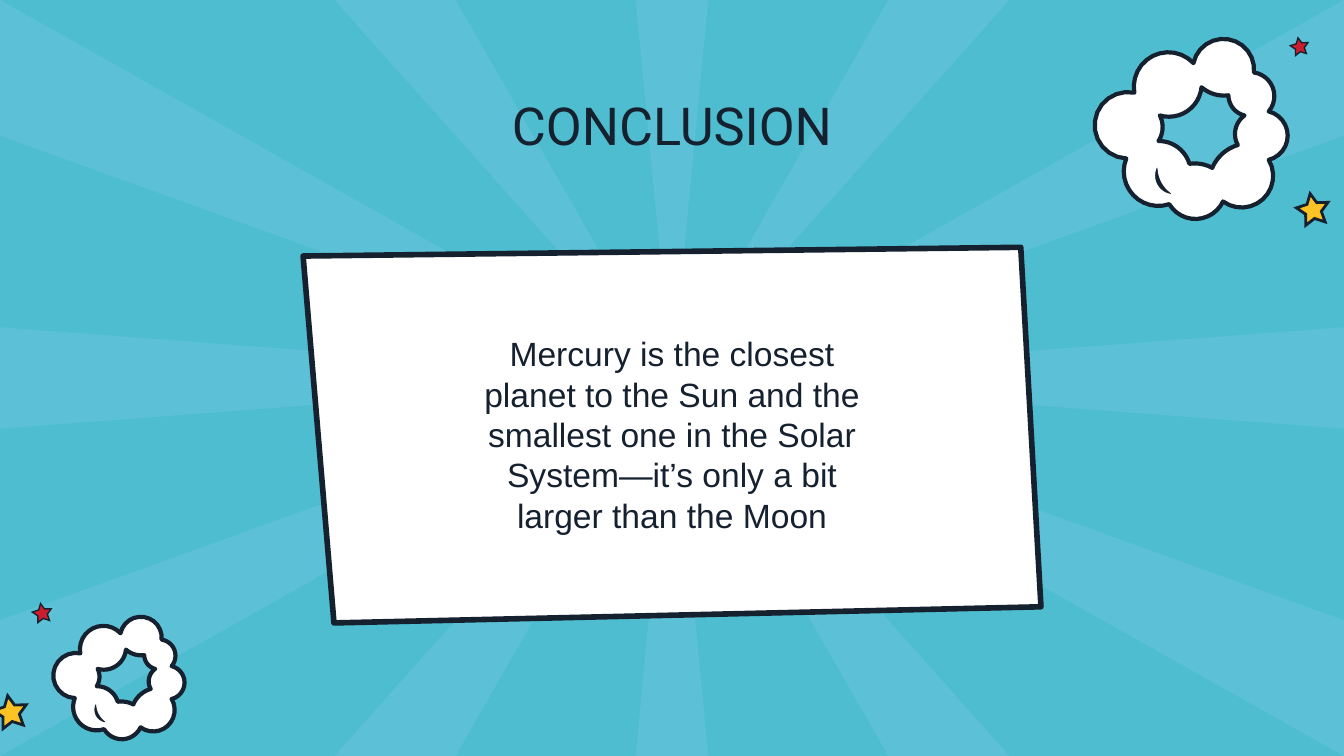
"""Build the comic-style conclusion slide about Mercury."""
from dataclasses import dataclass
from math import atan2, cos, hypot, pi, radians, sin, tau
from typing import Optional

from lxml import etree
from pptx import Presentation
from pptx import util as u
from pptx.dml import color
from pptx.enum import text
from pptx.oxml import ns

PX = 4572
WIDTH, HEIGHT = 2000, 1125
CENTRE = (WIDTH / 2, HEIGHT / 2)

Point = tuple[float, float]


@dataclass(frozen=True)
class Theme:
    sky: str = "4EBDCF"
    ray: str = "5CC1D6"
    ink: str = "162130"
    paper: str = "FFFFFF"
    gold: str = "FDC324"
    red: str = "CC1D2D"
    title_font: str = "Roboto"
    body_font: str = "Arial"
    title_size: int = 28
    body_size: int = 18


@dataclass(frozen=True)
class Ray:
    edge: tuple[Point, Point]
    flips: tuple[tuple[bool, bool], ...]


@dataclass(frozen=True)
class Star:
    x: int
    y: int
    radius: int
    fill: str
    outline: float


@dataclass(frozen=True)
class Cloud:
    left: int
    top: int
    percent: int


@dataclass(frozen=True)
class Caption:
    left: int
    top: int
    width: int
    height: int
    words: str
    font: str
    size: int


THEME = Theme()

OPPOSITE_X = ((False, False), (True, False))
OPPOSITE_Y = ((False, False), (False, True))
ALL_QUARTERS = OPPOSITE_X + ((False, True), (True, True))
RAYS = (
    Ray(((946, 0), (1054, 0)), OPPOSITE_Y),
    Ray(((498, 0), (678, 0)), ALL_QUARTERS),
    Ray(((0, 0), (0, 202)), ALL_QUARTERS),
    Ray(((0, 487), (0, 638)), OPPOSITE_X),
)

PANEL = [(451, 381), (497, 927), (1549, 903), (1519, 368)]

CLOUD_RIM = [
    (152, 36), (196, 0), (242, 50), (272, 80), (264, 108), (292, 140), (264, 180), (256, 238),
    (196, 242), (154, 268), (116, 246), (66, 236), (52, 178), (5, 130), (64, 80), (100, 22),
]
CLOUD_HOLE = [
    (164, 72), (142, 108), (102, 114), (106, 134), (100, 152), (132, 164), (146, 186), (162, 186),
    (180, 192), (190, 176), (218, 158), (214, 138), (228, 114), (210, 102), (204, 84), (182, 82),
]
CLOUD_CREASE = [(118, 230), (104, 214), (98, 192), (100, 218)]

CLOUDS = (Cloud(1624, 58, 100), Cloud(76, 918, 68))
STARS = (
    Star(1954, 313, 25, THEME.gold, 1.5),
    Star(1934, 70, 14, THEME.red, 0.75),
    Star(16, 1061, 26, THEME.gold, 1.5),
    Star(63, 913, 15, THEME.red, 0.75),
)

CAPTIONS = (
    Caption(526, 119, 948, 162, "CONCLUSION", THEME.title_font, THEME.title_size),
    Caption(
        665, 476, 670, 306,
        "Mercury is the closest planet to the Sun and the smallest one "
        "in the Solar System—it’s only a bit larger than the Moon",
        THEME.body_font, THEME.body_size,
    ),
)


def rgb(code: str) -> color.RGBColor:
    return color.RGBColor.from_string(code)


def draw_outline(slide, contours: list[list[Point]], fill: str,
                 outline: Optional[float] = None, join: str = "a:round") -> None:
    scaled = [[(round(x * PX), round(y * PX)) for x, y in contour] for contour in contours]
    builder = slide.shapes.build_freeform(*scaled[0][0])
    builder.add_line_segments(scaled[0][1:], close=True)
    for contour in scaled[1:]:
        builder.move_to(*contour[0])
        builder.add_line_segments(contour[1:], close=True)
    shape = builder.convert_to_shape()
    shape.shadow.inherit = False
    shape.fill.solid()
    shape.fill.fore_color.rgb = rgb(fill)
    if outline is None:
        shape.line.fill.background()
        return
    shape.line.color.rgb = rgb(THEME.ink)
    shape.line.width = u.Pt(outline)
    etree.SubElement(shape.line._get_or_add_ln(), ns.qn(join))


def arc_through(start: Point, crest: Point, end: Point, steps: int = 12) -> list[Point]:
    (ax, ay), (bx, by), (cx, cy) = start, crest, end
    a2, b2, c2 = ax * ax + ay * ay, bx * bx + by * by, cx * cx + cy * cy
    d = 2 * (ax * (by - cy) + bx * (cy - ay) + cx * (ay - by))
    x = (a2 * (by - cy) + b2 * (cy - ay) + c2 * (ay - by)) / d
    y = (a2 * (cx - bx) + b2 * (ax - cx) + c2 * (bx - ax)) / d
    radius = hypot(ax - x, ay - y)
    first, middle, last = (atan2(py - y, px - x) for px, py in (start, crest, end))
    sweep = (last - first) % tau
    if (middle - first) % tau > sweep:
        sweep -= tau
    angles = [first + sweep * i / steps for i in range(steps)]
    return [(x + radius * cos(a), y + radius * sin(a)) for a in angles]


def scallop(knots: list[Point], cloud: Cloud) -> list[Point]:
    factor = cloud.percent / 100
    curve = [
        point
        for i in range(0, len(knots), 2)
        for point in arc_through(knots[i], knots[i + 1], knots[(i + 2) % len(knots)])
    ]
    return [(cloud.left + x * factor, cloud.top + y * factor) for x, y in curve]


def draw_ray(slide, ray: Ray) -> None:
    for flip_x, flip_y in ray.flips:
        edge = [(WIDTH - x if flip_x else x, HEIGHT - y if flip_y else y) for x, y in ray.edge]
        draw_outline(slide, [[CENTRE, *edge]], THEME.ray)


def draw_cloud(slide, cloud: Cloud) -> None:
    draw_outline(slide, [scallop(CLOUD_RIM, cloud), scallop(CLOUD_HOLE, cloud)],
                 THEME.paper, 2.25)
    draw_outline(slide, [scallop(CLOUD_CREASE, cloud)], THEME.ink, 0.31)


def draw_star(slide, star: Star) -> None:
    tips = []
    for i in range(10):
        reach = star.radius / (1 + i % 2)
        angle = radians(260) + i * pi / 5
        tips.append((star.x + reach * cos(angle), star.y + reach * sin(angle)))
    draw_outline(slide, [tips], star.fill, star.outline, join="a:miter")


def write_caption(slide, caption: Caption) -> None:
    box = slide.shapes.add_textbox(caption.left * PX, caption.top * PX,
                                   caption.width * PX, caption.height * PX)
    frame = box.text_frame
    frame.word_wrap = True
    frame.vertical_anchor = text.MSO_ANCHOR.TOP
    frame.margin_left = frame.margin_right = frame.margin_top = frame.margin_bottom = 20 * PX
    paragraph = frame.paragraphs[0]
    paragraph.alignment = text.PP_ALIGN.CENTER
    run = paragraph.add_run()
    run.text = caption.words
    run.font.name = caption.font
    run.font.size = u.Pt(caption.size)
    run.font.color.rgb = rgb(THEME.ink)


def main() -> None:
    deck = Presentation()
    deck.slide_width, deck.slide_height = WIDTH * PX, HEIGHT * PX
    slide = deck.slides.add_slide(deck.slide_layouts[6])
    slide.background.fill.solid()
    slide.background.fill.fore_color.rgb = rgb(THEME.sky)
    for ray in RAYS:
        draw_ray(slide, ray)
    draw_outline(slide, [PANEL], THEME.paper, 3)
    for caption in CAPTIONS:
        write_caption(slide, caption)
    for cloud in CLOUDS:
        draw_cloud(slide, cloud)
    for star in STARS:
        draw_star(slide, star)
    deck.save("out.pptx")


if __name__ == "__main__":
    main()
